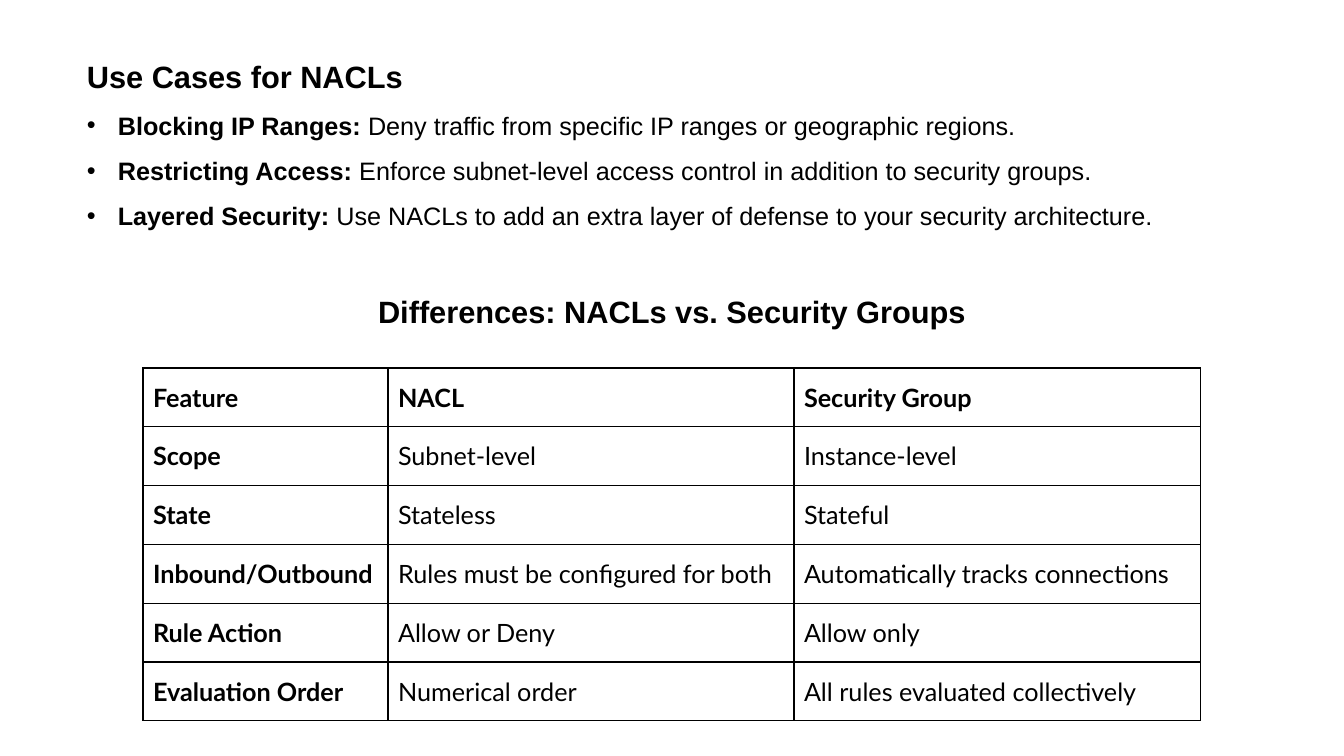
import pptx
import pptx.dml.color
import pptx.enum.text
import pptx.oxml
import pptx.oxml.ns
import pptx.util
from lxml import etree

COLORS = {"ink": "000000"}
EMU_PER_PX = 914400 / 100.8

USE_CASES = [
    ("Blocking IP Ranges: ", "Deny traffic from specific IP ranges or geographic regions."),
    ("Restricting Access: ", "Enforce subnet-level access control in addition to security groups."),
    ("Layered Security: ", "Use NACLs to add an extra layer of defense to your security architecture."),
]
DIFFERENCES = [
    ("Feature", "NACL", "Security Group"),
    ("Scope", "Subnet-level", "Instance-level"),
    ("State", "Stateless", "Stateful"),
    ("Inbound/Outbound", "Rules must be configured for both", "Automatically tracks connections"),
    ("Rule Action", "Allow or Deny", "Allow only"),
    ("Evaluation Order", "Numerical order", "All rules evaluated collectively"),
]


def px(length):
    return pptx.util.Emu(round(length * EMU_PER_PX))


class SlideBuilder:
    heading_size = 22
    body_size = 18
    text_font = "Arial"
    table_font = "Lato"

    def __init__(self, slide):
        self.slide = slide

    def add_run(self, paragraph, text, size, font, bold=False):
        run = paragraph.add_run()
        run.text = text
        run.font.size = pptx.util.Pt(size)
        run.font.name = font
        run.font.bold = bold
        run.font.color.rgb = pptx.dml.color.RGBColor.from_string(COLORS["ink"])

    def text_frame(self, left, top, width, height):
        frame = self.slide.shapes.add_textbox(px(left), px(top), px(width), px(height)).text_frame
        frame.word_wrap = True
        frame.vertical_anchor = pptx.enum.text.MSO_ANCHOR.MIDDLE
        return frame

    def heading(self, paragraph, text):
        paragraph.line_spacing = 1.5
        self.add_run(paragraph, text, self.heading_size, self.text_font, bold=True)

    def bullet(self, paragraph, term, explanation):
        paragraph.line_spacing = 1.5
        properties = paragraph._p.get_or_add_pPr()
        properties.set("marL", str(px(31)))
        properties.set("indent", str(-px(31)))
        marker_font = etree.SubElement(properties, pptx.oxml.ns.qn("a:buFont"))
        marker_font.set("typeface", self.text_font)
        etree.SubElement(properties, pptx.oxml.ns.qn("a:buChar")).set("char", "•")
        self.add_run(paragraph, term, self.body_size, self.text_font, bold=True)
        self.add_run(paragraph, explanation, self.body_size, self.text_font)

    def border(self, cell):
        """Draw a one-point line on all four sides of the cell."""
        properties = cell._tc.get_or_add_tcPr()
        for index, side in enumerate(("lnL", "lnR", "lnT", "lnB")):
            line = pptx.oxml.parse_xml(
                f'<a:{side} {pptx.oxml.ns.nsdecls("a")} w="{pptx.util.Pt(1)}"><a:solidFill>'
                f'<a:srgbClr val="{COLORS["ink"]}"/></a:solidFill></a:{side}>'
            )
            properties.insert(index, line)

    def table(self, left, top, column_widths, height, rows):
        """Add a grid whose first row and first column are bold."""
        grid = self.slide.shapes.add_table(
            len(rows), len(column_widths), px(left), px(top), px(sum(column_widths)), px(height)
        ).table
        grid.first_row = grid.horz_banding = False
        for column, width in zip(grid.columns, column_widths):
            column.width = px(width)
        for r, row in enumerate(rows):
            for c, text in enumerate(row):
                cell = grid.cell(r, c)
                cell.fill.background()
                cell.vertical_anchor = pptx.enum.text.MSO_ANCHOR.MIDDLE
                self.border(cell)
                self.add_run(cell.text_frame.paragraphs[0], text, self.body_size,
                             self.table_font, bold=r == 0 or c == 0)


def main():
    presentation = pptx.Presentation()
    presentation.slide_width, presentation.slide_height = px(1344), px(756)
    builder = SlideBuilder(presentation.slides.add_slide(presentation.slide_layouts[6]))

    builder.table(143, 368, (245, 406, 407), 353, DIFFERENCES)

    overview = builder.text_frame(77, 35, 1190, 299)
    builder.heading(overview.paragraphs[0], "Use Cases for NACLs")
    for term, explanation in USE_CASES:
        builder.bullet(overview.add_paragraph(), term, explanation)
    differences_title = overview.add_paragraph()
    differences_title.alignment = pptx.enum.text.PP_ALIGN.CENTER
    differences_title.space_before = pptx.util.Pt(31)
    builder.heading(differences_title, "Differences: NACLs vs. Security Groups")

    presentation.save("out.pptx")


if __name__ == "__main__":
    main()
